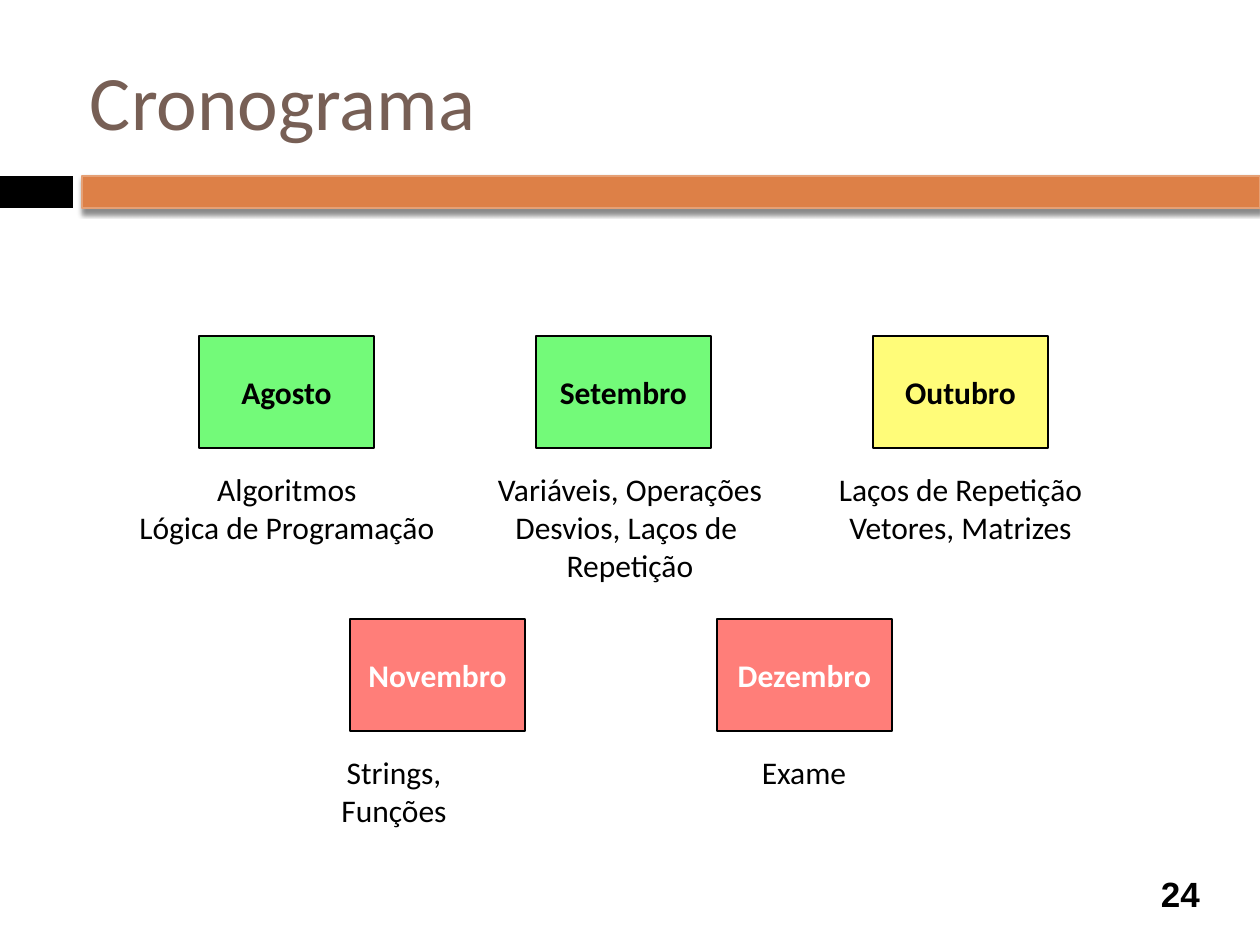
from typing import NamedTuple

from lxml.etree import SubElement
from pptx import Presentation
from pptx.dml.color import RGBColor
from pptx.enum.shapes import MSO_SHAPE
from pptx.enum.text import MSO_ANCHOR, MSO_AUTO_SIZE, PP_ALIGN
from pptx.oxml.ns import qn
from pptx.util import Pt

EMU_PER_PX = 914400 / 126
COLORS = {
    "black": "000000", "white": "FFFFFF", "title": "775F55",
    "bar": "DD8047", "bar_edge": "E5A075",
    "done": "73FA79", "current": "FFFC79", "upcoming": "FF7E79",
}
INSET = 6
MONTH_WIDTH, MONTH_HEIGHT = 175, 112
CAPTION_DROP = 128  # from the top of a month to the top of its caption
FIRST_ROW, SECOND_ROW = 336, 619


class Month(NamedTuple):
    name: str
    left: int
    top: int
    fill: str
    ink: str
    topics: list[str]
    caption_left: int
    caption_width: int
    wrap_width: int = 0  # text width at which the caption wraps, 0 for none


MONTHS = [
    Month("Agosto", 199, FIRST_ROW, "done", "black",
          ["Algoritmos", "Lógica de Programação"], 129, 316),
    Month("Setembro", 536, FIRST_ROW, "done", "black",
          ["Variáveis, Operações", "Desvios, Laços de ", "Repetição"], 488, 284),
    Month("Outubro", 873, FIRST_ROW, "current", "black",
          ["Laços de Repetição", "Vetores, Matrizes"], 832, 257),
    Month("Novembro", 350, SECOND_ROW, "upcoming", "white",
          ["Strings, Funções"], 333, 208, 110),
    Month("Dezembro", 717, SECOND_ROW, "upcoming", "white",
          ["Exame"], 755, 98),
]


def px(length: int) -> int:
    return round(length * EMU_PER_PX)


def rgb(name: str) -> RGBColor:
    return RGBColor.from_string(COLORS[name])


def write(frame, lines: list[str], size: int, color: str = "black",
          bold: bool = False, font: str = "Calibri",
          align=PP_ALIGN.CENTER, anchor=MSO_ANCHOR.MIDDLE) -> None:
    frame.margin_left = frame.margin_right = px(INSET)
    frame.margin_top = frame.margin_bottom = px(INSET)
    frame.vertical_anchor = anchor
    frame.text = "\n".join(lines)
    for paragraph in frame.paragraphs:
        paragraph.alignment = align
        paragraph.font.name = font
        paragraph.font.size = Pt(size)
        paragraph.font.bold = bold
        paragraph.font.color.rgb = rgb(color)


def add_rectangle(slide, left: int, top: int, width: int, height: int,
                  fill: str, edge: str = ""):
    rectangle = slide.shapes.add_shape(
        MSO_SHAPE.RECTANGLE, px(left), px(top), px(width), px(height))
    rectangle.shadow.inherit = False
    rectangle.fill.solid()
    rectangle.fill.fore_color.rgb = rgb(fill)
    if edge:
        rectangle.line.color.rgb = rgb(edge)
        rectangle.line.width = Pt(1.5)
    else:
        rectangle.line.fill.background()
    return rectangle


def add_drop_shadow(shape) -> None:
    effects = shape._element.spPr.find(qn("a:effectLst"))
    shadow = SubElement(effects, qn("a:outerShdw"), blurRad=str(Pt(3)),
                        dist=str(Pt(2.4)), dir="5400000", rotWithShape="0")
    color = SubElement(shadow, qn("a:srgbClr"), val=COLORS["black"])
    SubElement(color, qn("a:alpha"), val="45000")


def add_month(slide, month: Month) -> None:
    box = add_rectangle(slide, month.left, month.top, MONTH_WIDTH,
                        MONTH_HEIGHT, month.fill, "black")
    write(box.text_frame, [month.name], 18, month.ink, bold=True)

    height = 2 * INSET + 34 * len(month.topics)
    caption = slide.shapes.add_textbox(
        px(month.caption_left), px(month.top + CAPTION_DROP),
        px(month.caption_width), px(height)).text_frame
    write(caption, month.topics, 18, anchor=MSO_ANCHOR.TOP)
    caption.word_wrap = bool(month.wrap_width)
    if month.wrap_width:
        caption.margin_right = px(
            month.caption_width - INSET - month.wrap_width)
    else:
        caption.auto_size = MSO_AUTO_SIZE.SHAPE_TO_FIT_TEXT


def main() -> None:
    presentation = Presentation()
    presentation.slide_width, presentation.slide_height = px(1260), px(945)
    slide = presentation.slides.add_slide(presentation.slide_layouts[5])

    # Heading and the band below it
    heading = slide.shapes.title
    heading.left, heading.top = px(84), px(32)
    heading.width, heading.height = px(1124), px(136)
    write(heading.text_frame, ["Cronograma"], 44, "title",
          align=PP_ALIGN.LEFT)
    add_rectangle(slide, 0, 176, 73, 32, "black")
    add_drop_shadow(add_rectangle(slide, 82, 176, 1178, 32, "bar", "bar_edge"))

    # Months with their topics
    for month in MONTHS:
        add_month(slide, month)

    # Page number
    page = slide.shapes.add_textbox(px(1144), px(868), px(73), px(52))
    page.text_frame.word_wrap = True
    write(page.text_frame, ["24"], 20, bold=True, font="Arial")

    presentation.save("out.pptx")


if __name__ == "__main__":
    main()
